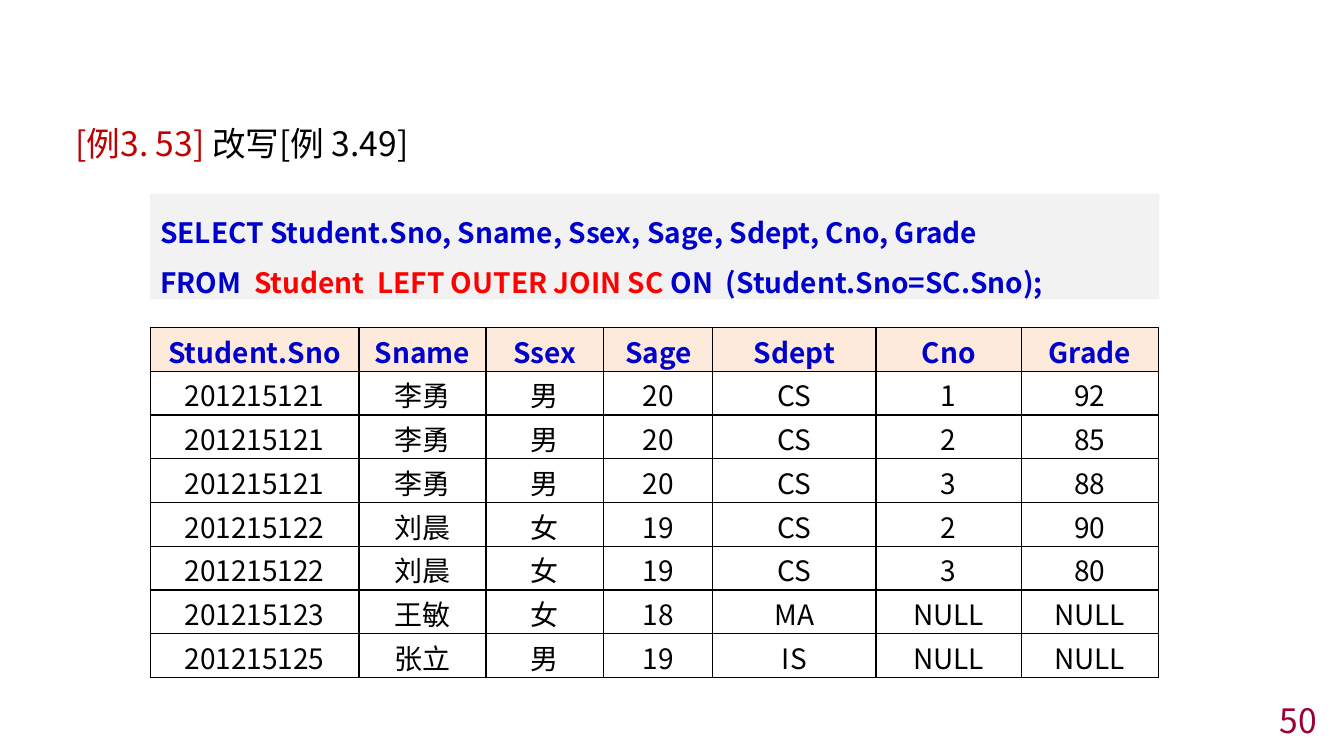
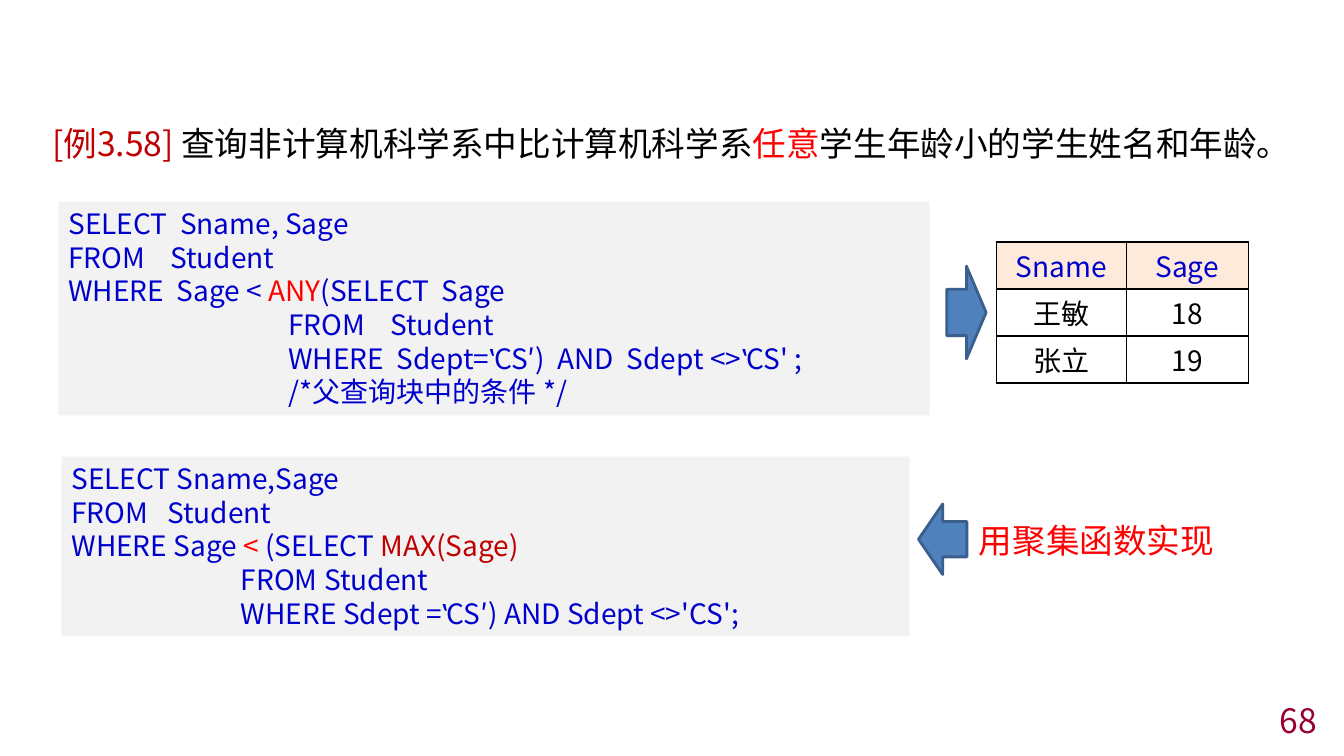
from lxml.etree import SubElement
from pptx import Presentation
from pptx.dml.color import RGBColor
from pptx.enum.shapes import MSO_SHAPE as Shape
from pptx.enum.text import MSO_ANCHOR as Anchor, PP_ALIGN as Align
from pptx.oxml.ns import qn
from pptx.util import Inches, Pt

FONT = "Noto Sans CJK SC"
COLORS = {
    "black": "000000", "code": "0000CC", "red": "FF0000", "label": "C00000",
    "number": "990033", "panel": "F2F2F2", "header": "FDEADA",
    "arrow": "4F81BD", "arrow_edge": "3A5F8C",
}


def color(name):
    return RGBColor.from_string(COLORS[name])


def write(frame, lines, size, base, align=Align.LEFT, bold=False, leading=1.2):
    """Fill a text frame; a line is a list of texts or (text, colour) pairs."""
    for index, line in enumerate(lines):
        para = frame.paragraphs[0] if index == 0 else frame.add_paragraph()
        para.alignment = align
        para.line_spacing = Pt(size * leading)
        para.font.name, para.font.size, para.font.bold = FONT, Pt(size), bold
        defaults = para._p.pPr.find(qn("a:defRPr"))
        SubElement(defaults, qn("a:ea")).set("typeface", FONT)
        for part in line:
            text, tint = (part, base) if isinstance(part, str) else part
            span = para.add_run()
            span.text = text
            span.font.color.rgb = color(tint)


deck = Presentation()
deck.slide_width, deck.slide_height = Inches(13.33), Inches(7.5)
join_page, any_page = [deck.slides.add_slide(deck.slide_layouts[6]) for _ in range(2)]

# Text boxes: example titles, page numbers, callout
number_area = (10.33, 6.99, 2.83, 0.31)
texts = [
    (join_page, (0.65, 1.17, 12.02, 0.6), Align.LEFT, "black",
     [("[例3. 53] ", "label"), "改写[例 3.49]"]),
    (any_page, (0.42, 1.17, 12.8, 0.6), Align.LEFT, "black",
     [("[例3.58] ", "label"), "查询非计算机科学系中比计算机科学系",
      ("任意", "red"), "学生年龄小的学生姓名和年龄。"]),
    (join_page, number_area, Align.RIGHT, "number", ["50"]),
    (any_page, number_area, Align.RIGHT, "number", ["68"]),
    (any_page, (9.55, 5.11, 2.65, 0.5), Align.CENTER, "red", ["用聚集函数实现"]),
]
for page, area, align, base, line in texts:
    box = page.shapes.add_textbox(*map(Inches, area))
    box.text_frame.word_wrap = True
    if area == number_area:
        box.text_frame.vertical_anchor = Anchor.MIDDLE
    write(box.text_frame, [line], 24, base, align)

# SQL panels
panels = [
    (join_page, (1.49, 1.92, 10.01, 1.05), True, 1.8, [
        ["SELECT Student.Sno, Sname, Ssex, Sage, Sdept, Cno, Grade"],
        ["FROM  ", ("Student  LEFT OUTER JOIN SC ", "red"),
         "ON  (Student.Sno=SC.Sno);"],
    ]),
    (any_page, (0.58, 2, 8.64, 2.12), False, 1.2, [
        ["SELECT  Sname, Sage"],
        ["FROM    Student"],
        ["WHERE  Sage < ", ("ANY", "red"), "(SELECT  Sage"],
        ["                                   FROM    Student"],
        ["                                   WHERE  Sdept=‛CS′)  AND  Sdept <>‛CS' ;"],
        ["                                   /*父查询块中的条件 */"],
    ]),
    (any_page, (0.61, 4.53, 8.41, 1.78), False, 1.2, [
        ["SELECT Sname,Sage"],
        ["FROM   Student"],
        ["WHERE Sage ", ("< ", "red"), "(SELECT ", ("MAX(Sage)", "label")],
        ["                           FROM Student"],
        ["                           WHERE Sdept =‛CS′) AND Sdept <>'CS';"],
    ]),
]
for page, area, bold, leading, lines in panels:
    panel = page.shapes.add_shape(Shape.RECTANGLE, *map(Inches, area))
    panel.shadow.inherit = False
    panel.fill.solid()
    panel.fill.fore_color.rgb = color("panel")
    panel.line.fill.background()
    panel.text_frame.word_wrap = True
    panel.text_frame.vertical_anchor = Anchor.TOP
    write(panel.text_frame, lines, 20, "code", bold=bold, leading=leading)

# Result tables
tables = [
    (join_page, (1.49, 3.25), (2.07, 1.26, 1.17, 1.08, 1.62, 1.44, 1.36), 3.47, True, [
        ("Student.Sno", "Sname", "Ssex", "Sage", "Sdept", "Cno", "Grade"),
        ("201215121", "李勇", "男", "20", "CS", "1", "92"),
        ("201215121", "李勇", "男", "20", "CS", "2", "85"),
        ("201215121", "李勇", "男", "20", "CS", "3", "88"),
        ("201215122", "刘晨", "女", "19", "CS", "2", "90"),
        ("201215122", "刘晨", "女", "19", "CS", "3", "80"),
        ("201215123", "王敏", "女", "18", "MA", "NULL", "NULL"),
        ("201215125", "张立", "男", "19", "IS", "NULL", "NULL"),
    ]),
    (any_page, (9.88, 2.4), (1.29, 1.21), 1.4, False, [
        ("Sname", "Sage"), ("王敏", "18"), ("张立", "19"),
    ]),
]
for page, corner, widths, height, bold_header, rows in tables:
    table = page.shapes.add_table(
        len(rows), len(widths), *map(Inches, (*corner, sum(widths), height))).table
    table.first_row = table.horz_banding = False
    for column, width in zip(table.columns, widths):
        column.width = Inches(width)
    for row_index, row in enumerate(rows):
        is_header = row_index == 0
        table.rows[row_index].height = Inches(height / len(rows))
        for column_index, text in enumerate(row):
            cell = table.cell(row_index, column_index)
            cell.margin_left = cell.margin_right = Inches(0.13)
            cell.margin_top, cell.margin_bottom = Inches(0.1), 0
            for side in ("lnL", "lnR", "lnT", "lnB"):
                border = SubElement(cell._tc.get_or_add_tcPr(), qn(f"a:{side}"), w=str(Pt(1)))
                paint = SubElement(border, qn("a:solidFill"))
                SubElement(paint, qn("a:srgbClr"), val=COLORS["black"])
            if is_header:
                cell.fill.solid()
                cell.fill.fore_color.rgb = color("header")
            else:
                cell.fill.background()
            write(cell.text_frame, [[text]], 20, "code" if is_header else "black",
                  Align.CENTER, bold=is_header and bold_header)

# Block arrows
for kind, area in [
    (Shape.RIGHT_ARROW, (9.39, 2.64, 0.39, 0.92)),
    (Shape.LEFT_ARROW, (9.11, 5, 0.48, 0.7)),
]:
    arrow = any_page.shapes.add_shape(kind, *map(Inches, area))
    arrow.shadow.inherit = False
    arrow.fill.solid()
    arrow.fill.fore_color.rgb = color("arrow")
    arrow.line.color.rgb = color("arrow_edge")
    arrow.line.width = Pt(2)

deck.save("out.pptx")
